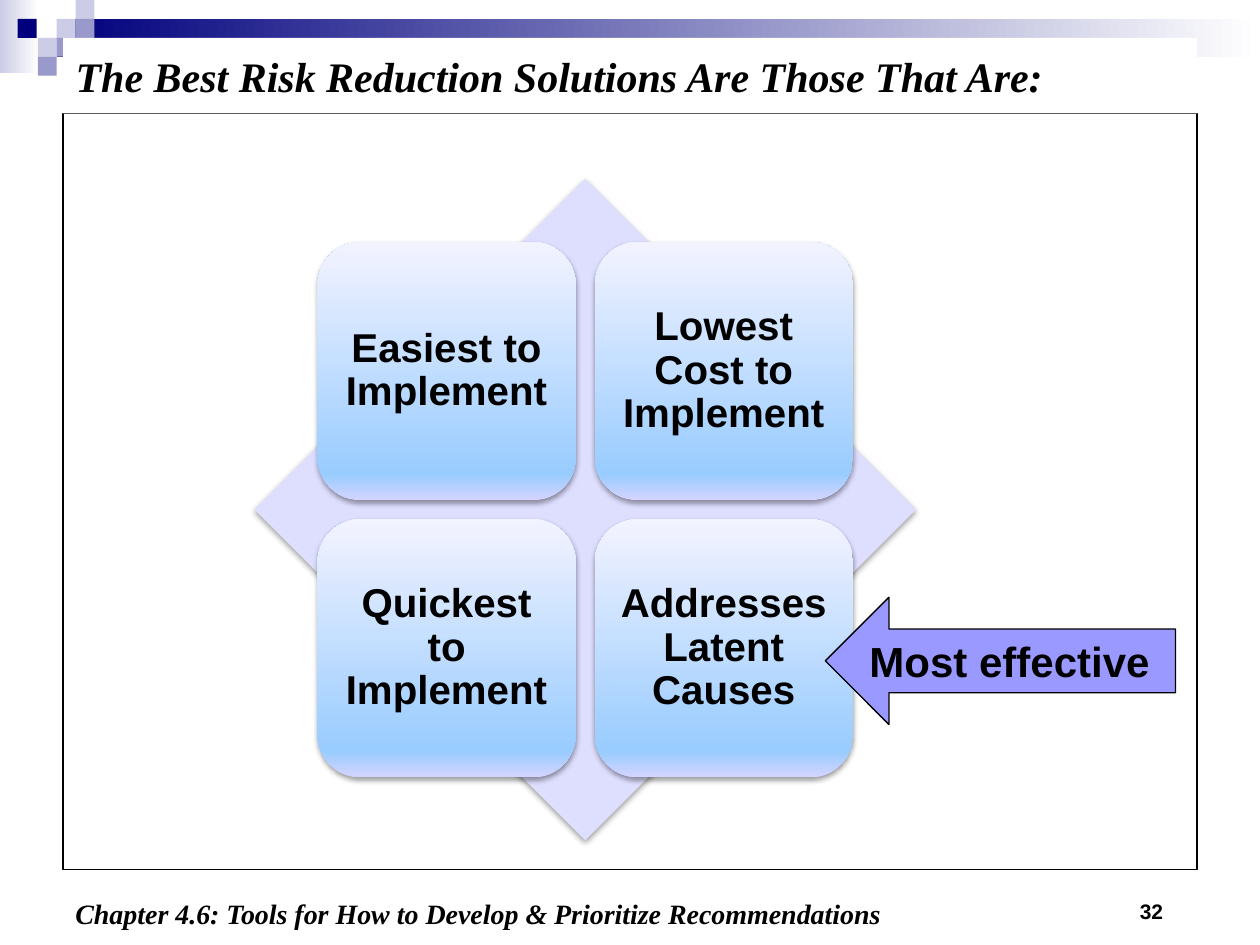
import pptx
import pptx.oxml
import pptx.util
from pptx.dml.color import RGBColor
from pptx.enum.shapes import MSO_SHAPE
from pptx.enum.text import MSO_ANCHOR, PP_ALIGN
from pptx.oxml.ns import nsdecls
from pptx.util import Inches

COLORS = {
    "black": "000000",
    "white": "FFFFFF",
    "navy": "00007D",
    "pale": "CCCCE6",
    "lavender": "9999CC",
    "diamond": "DEDEFF",
    "arrow": "9999FF",
    "card_base": "D4D4FF",
    "card_blue": "99CCFF",
    "card_top": "F3F3FF",
}
SHADOW = (
    f'<a:effectLst {nsdecls("a")}><a:outerShdw blurRad="39400" dist="20300" dir="5400000" '
    f'rotWithShape="0"><a:srgbClr val="{COLORS["black"]}"><a:alpha val="38000"/></a:srgbClr>'
    "</a:outerShdw></a:effectLst>"
)

presentation = pptx.Presentation()
presentation.slide_width = Inches(10)
presentation.slide_height = Inches(7.5)
slide = presentation.slides.add_slide(presentation.slide_layouts[5])


def add_filled_shape(kind, left, top, width, height, stops, angle=0, line=False, shadow=False):
    """Add a shape; stops is one color name, or (percent, color name) pairs for a gradient."""
    shape = slide.shapes.add_shape(
        kind, Inches(left), Inches(top), Inches(width), Inches(height))
    shape.shadow.inherit = False
    properties = shape.element.spPr
    if isinstance(stops, str):
        shape.fill.solid()
        shape.fill.fore_color.rgb = RGBColor.from_string(COLORS[stops])
    else:
        stop_xml = "".join(
            f'<a:gs pos="{percent * 1000}"><a:srgbClr val="{COLORS[name]}"/></a:gs>'
            for percent, name in stops)
        properties.insert(2, pptx.oxml.parse_xml(
            f'<a:gradFill {nsdecls("a")} rotWithShape="1"><a:gsLst>{stop_xml}</a:gsLst>'
            f'<a:lin ang="{angle * 60000}" scaled="0"/></a:gradFill>'))
    if line:
        shape.line.color.rgb = RGBColor.from_string(COLORS["black"])
        shape.line.width = pptx.util.Pt(0.75)
    else:
        shape.line.fill.background()
    if shadow:
        properties.replace(properties[-1], pptx.oxml.parse_xml(SHADOW))
    return shape


def write_text(shape, text, size, font="Arial", italic=False, align=PP_ALIGN.LEFT,
               anchor=MSO_ANCHOR.MIDDLE, spacing=1.0):
    frame = shape.text_frame
    frame.text = text
    frame.word_wrap = True
    frame.vertical_anchor = anchor
    paragraph = frame.paragraphs[0]
    paragraph.alignment = align
    paragraph.line_spacing = spacing
    run_font = paragraph.runs[0].font
    run_font.name = font
    run_font.size = pptx.util.Pt(size)
    run_font.bold = True
    run_font.italic = italic
    run_font.color.rgb = RGBColor.from_string(COLORS["black"])


# Header band and its small squares
add_filled_shape(MSO_SHAPE.RECTANGLE, 0, 0, 0.31, 0.58, [(0, "pale"), (100, "white")])
add_filled_shape(MSO_SHAPE.RECTANGLE, 0.45, 0.15, 9.55, 0.3, [(0, "navy"), (100, "white")])
for left, top, color in [
    (0.45, 0.15, "pale"), (0.6, 0, "pale"), (0.6, 0.15, "lavender"), (0.3, 0.3, "pale"),
    (0.14, 0.15, "navy"), (0.45, 0.3, "lavender"), (0.3, 0.45, "lavender"),
]:
    add_filled_shape(MSO_SHAPE.RECTANGLE, left, top, 0.15, 0.15, color)

page_number = slide.shapes.add_textbox(Inches(8.33), Inches(7.08), Inches(1), Inches(0.25))
write_text(page_number, "32", 12, align=PP_ALIGN.RIGHT, anchor=MSO_ANCHOR.TOP)

# Content frame with the diamond and its four cards
frame_box = add_filled_shape(MSO_SHAPE.RECTANGLE, 0.5, 0.9, 9, 6, "white", line=True)
add_filled_shape(MSO_SHAPE.DIAMOND, 2.02, 1.42, 5.25, 5.25, "diamond", shadow=True)
card_stops = [(0, "card_base"), (10, "card_blue"), (100, "card_top")]
solutions = ["Easiest to Implement", "Lowest Cost to Implement",
             "Quickest to Implement", "Addresses Latent Causes"]
for index, solution in enumerate(solutions):
    row, column = divmod(index, 2)
    card = add_filled_shape(
        MSO_SHAPE.ROUNDED_RECTANGLE, 2.52 + 2.2 * column, 1.92 + 2.2 * row, 2.05, 2.05,
        card_stops, angle=270, shadow=True)
    write_text(card, solution, 23, align=PP_ALIGN.CENTER, spacing=0.9)

arrow = add_filled_shape(MSO_SHAPE.LEFT_ARROW, 6.55, 4.74, 2.78, 1.01, "arrow", line=True)
write_text(arrow, "Most effective", 24)

# The title covers part of the header band, so it goes in front
title = slide.shapes.title
title.left, title.top = Inches(0.5), Inches(0.3)
title.width, title.height = Inches(9), Inches(0.6)
title.fill.solid()
title.fill.fore_color.rgb = RGBColor.from_string(COLORS["white"])
write_text(title, "The Best Risk Reduction Solutions Are Those That Are:", 24,
           font="Times New Roman", italic=True)
title.element.getparent().append(title.element)

chapter = slide.shapes.add_textbox(Inches(0.5), Inches(7.1), Inches(6.7), Inches(0.4))
write_text(chapter, "Chapter 4.6: Tools for How to Develop & Prioritize Recommendations", 16,
           font="Times New Roman", italic=True, anchor=MSO_ANCHOR.TOP, spacing=0.9)

presentation.save("out.pptx")
